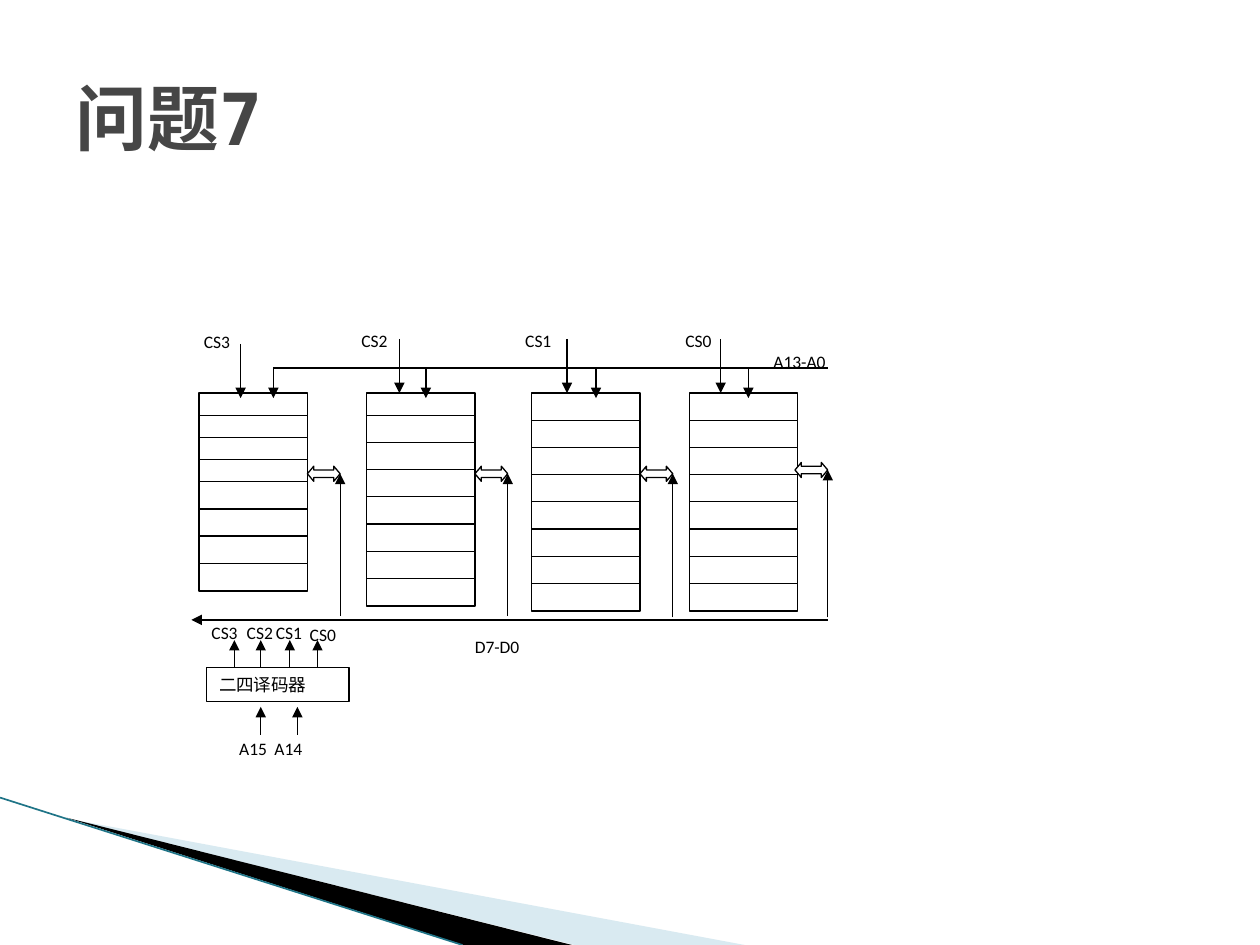
from lxml import etree
from pptx import Presentation
from pptx.dml.color import RGBColor
from pptx.enum.shapes import MSO_CONNECTOR, MSO_SHAPE
from pptx.enum.text import MSO_ANCHOR, PP_ALIGN
from pptx.oxml.ns import qn
from pptx.util import Inches, Pt

RECT = MSO_SHAPE.RECTANGLE
ARROW = MSO_SHAPE.LEFT_RIGHT_ARROW
STRAIGHT = MSO_CONNECTOR.STRAIGHT
TOP, MIDDLE = MSO_ANCHOR.TOP, MSO_ANCHOR.MIDDLE
LEFT = PP_ALIGN.LEFT

COLORS = {"ink": "000000", "paper": "FFFFFF", "title": "464646", "pale": "A0CBDC", "teal": "1F7487"}
ROWS = 8
HIGH, LOW, STEP = 3.12, 4.63, 0.04
ADDRESS, DATA = 2.92, 4.92
EDGE = 6.57


class Sketch:
    """Draws styled elements on one slide."""

    def __init__(self, slide):
        self.slide = slide
        self.shapes = slide.shapes
        self.font = "Calibri"
        self.size = 10
        self.weight = Pt(0.75)

    def color(self, name):
        return RGBColor.from_string(COLORS[name])

    def letter(self, shape, text, size=None, font=None, color="ink", bold=False, anchor=TOP):
        frame = shape.text_frame
        frame.word_wrap = True
        frame.vertical_anchor = anchor
        frame.text = text
        part = frame.paragraphs[0]
        part.alignment = LEFT
        for run in part.runs:
            run.font.size = Pt(size or self.size)
            run.font.name = font or self.font
            run.font.bold = bold
            run.font.color.rgb = self.color(color)

    def label(self, text, x, y, w=0.65, h=0.28, **style):
        box = self.shapes.add_textbox(Inches(x), Inches(y), Inches(w), Inches(h))
        self.letter(box, text, **style)

    def block(self, x, y, w, h, kind=RECT):
        shape = self.shapes.add_shape(kind, Inches(x), Inches(y), Inches(w), Inches(h))
        shape.shadow.inherit = False
        shape.fill.solid()
        shape.fill.fore_color.rgb = self.color("paper")
        shape.line.color.rgb = self.color("ink")
        shape.line.width = self.weight
        return shape

    def line(self, x1, y1, x2, y2, head=True, color="ink", width=None):
        wire = self.shapes.add_connector(STRAIGHT, Inches(x1), Inches(y1), Inches(x2), Inches(y2))
        wire.line.color.rgb = self.color(color)
        wire.line.width = width or self.weight
        props = wire._element.spPr
        if head:
            etree.SubElement(props.find(qn("a:ln")), qn("a:tailEnd"), type="triangle")
        etree.SubElement(props, qn("a:effectLst"))

    def wedge(self, points, color, alpha=100):
        pairs = [(Inches(x), Inches(y)) for x, y in points]
        build = self.shapes.build_freeform(*pairs[0])
        build.add_line_segments(pairs[1:], close=True)
        shape = build.convert_to_shape()
        shape.shadow.inherit = False
        shape.fill.solid()
        shape.fill.fore_color.rgb = self.color(color)
        shape.line.fill.background()
        if alpha < 100:
            tint = shape._element.spPr.find(qn("a:solidFill"))[0]
            etree.SubElement(tint, qn("a:alpha"), val=str(alpha * 1000))

    def bank(self, x, thin):
        for row in range(ROWS):
            y = HIGH + (LOW - HIGH) * row / (ROWS - 1) - STEP * min(row, thin)
            self.block(x, y, 0.86, 0.22)

    def link(self, x, y, start):
        arrow = self.block(x, y, 0.26, 0.12, ARROW)
        arrow.adjustments[0] = 0.5
        arrow.adjustments[1] = 0.42
        self.line(x + 0.26, start, x + 0.26, y + 0.06)


def main():
    deck = Presentation()
    deck.slide_width, deck.slide_height = Inches(10), Inches(7.5)
    art = Sketch(deck.slides.add_slide(deck.slide_layouts[6]))

    art.wedge([(0.55, 6.5), (5.91, 7.5), (4.56, 7.5)], "pale", 40)
    art.wedge([(0.53, 6.49), (4.54, 7.5), (3.68, 7.5)], "ink")
    art.line(0, 6.33, 3.67, 7.5, False, "teal", Pt(0.95))
    art.label("问题7", 0.5, 0.3, 9, 1.25, size=41, font="DejaVu Sans Mono",
              color="title", bold=True, anchor=MIDDLE)

    banks = [
        ("CS3", 1.58, 4, 1.52, 2.58, 1.91, 2.73, 2.17, 2.44, 3.7, 4.89),
        ("CS2", 2.91, 1, 2.77, 2.57, 3.17, 2.69, 3.38, 3.77, 3.7, 4.89),
        ("CS1", 4.22, 0, 4.07, 2.57, 4.5, 2.69, 4.73, 5.08, 3.7, 4.9),
        ("CS0", 5.47, 0, 5.34, 2.57, 5.72, 2.69, 5.94, 6.31, 3.67, 4.9),
    ]
    for name, x, thin, text_x, text_y, pin, top, tap, port, mid, start in banks:
        art.bank(x, thin)
        art.label(name, text_x, text_y)
        art.line(pin, top, pin, top + 0.43)
        art.line(tap, ADDRESS, tap, 3.16)
        art.link(port, mid, start)

    art.line(2.17, ADDRESS, EDGE, ADDRESS, False)
    art.label("A13-A0", 6.04, 2.74)
    art.line(EDGE, DATA, 1.52, DATA)
    art.label("D7-D0", 3.67, 5)

    art.letter(art.block(1.64, 5.3, 1.13, 0.27), "二四译码器")
    outs = [("CS3", 1.58, 4.89, 1.86), ("CS2", 1.86, 4.89, 2.07),
            ("CS1", 2.09, 4.89, 2.3), ("CS0", 2.36, 4.9, 2.52)]
    for name, x, y, pin in outs:
        art.label(name, x, y, 0.49)
        art.line(pin, 5.29, pin, 5.08)
    for name, x, pin in [("A15", 1.8, 2.07), ("A14", 2.08, 2.36)]:
        art.label(name, x, 5.81, 0.49)
        art.line(pin, 5.83, pin, 5.61)

    deck.save("out.pptx")


if __name__ == "__main__":
    main()
